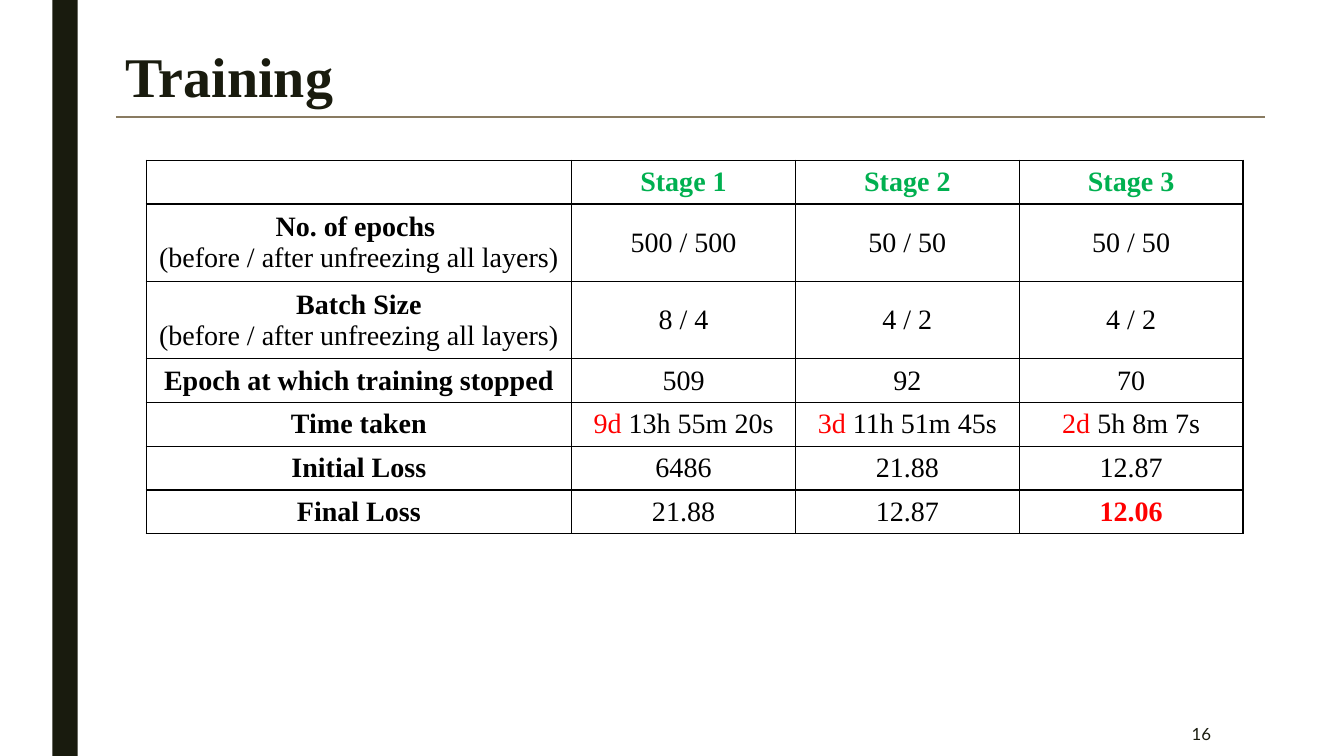
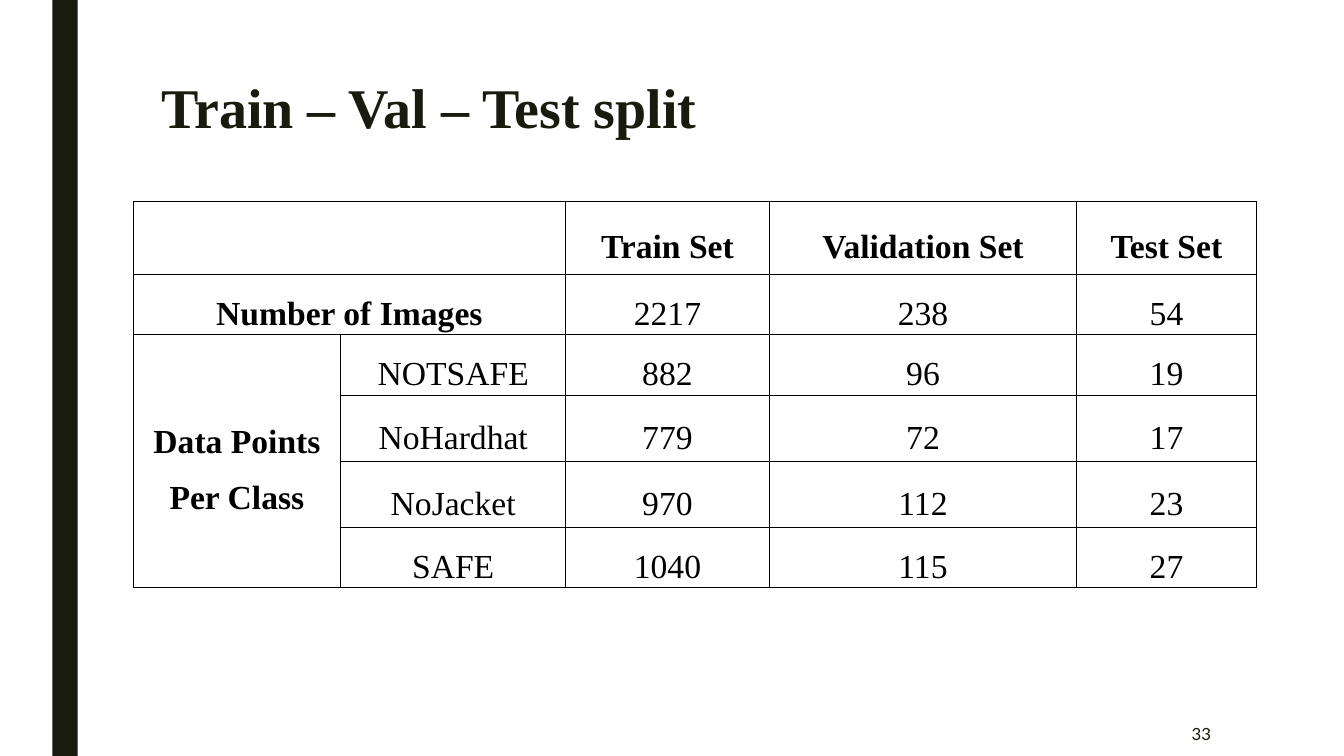
from collections import namedtuple
from dataclasses import dataclass

from lxml import etree
from pptx import Presentation
from pptx.dml.color import RGBColor
from pptx.enum.shapes import MSO_CONNECTOR, MSO_SHAPE
from pptx.enum.text import MSO_ANCHOR, PP_ALIGN
from pptx.oxml.ns import qn
from pptx.util import Inches, Pt

RECT = MSO_SHAPE.RECTANGLE
STRAIGHT = MSO_CONNECTOR.STRAIGHT
TOP, MIDDLE = MSO_ANCHOR.TOP, MSO_ANCHOR.MIDDLE
LEFT, CENTER, RIGHT = PP_ALIGN.LEFT, PP_ALIGN.CENTER, PP_ALIGN.RIGHT


@dataclass(frozen=True)
class Theme:
    dark: str = "191B0E"
    rule: str = "897B61"
    ink: str = "000000"
    green: str = "00B050"
    red: str = "FF0000"
    serif: str = "Times New Roman"
    sans: str = "Lato"
    title: int = 40
    page: int = 12
    small: int = 20
    large: int = 24
    line: int = 1


THEME = Theme()
Part = namedtuple("Part", "text bold color", defaults=(False, THEME.ink))
Grid = namedtuple("Grid", "cols rows size pad spacing")


def bold(text, color=THEME.ink):
    return Part(text, True, color)


def red(text):
    return Part(text, False, THEME.red)


def style(run, font, size, part):
    run.font.name = font
    run.font.size = Pt(size)
    run.font.bold = part.bold
    run.font.color.rgb = RGBColor.from_string(part.color)


def add_text(slide, box, part, font, size, align, anchor, spacing=None):
    frame = slide.shapes.add_textbox(*map(Inches, box)).text_frame
    frame.word_wrap = True
    frame.vertical_anchor = anchor
    frame.text = part.text
    para = frame.paragraphs[0]
    para.alignment = align
    para.line_spacing = spacing
    style(para.runs[0], font, size, part)


def add_frame(slide, title, left, top, page):
    """Place the side band, the title and the page number."""
    band = slide.shapes.add_shape(
        RECT, Inches(0.52), 0, Inches(0.25), Inches(7.5))
    band.shadow.inherit = False
    band.fill.solid()
    band.fill.fore_color.rgb = RGBColor.from_string(THEME.dark)
    band.line.fill.background()
    add_text(slide, (left, top, 10.5, 1.62), bold(title, THEME.dark),
             THEME.serif, THEME.title, LEFT, TOP, 0.89)
    add_text(slide, (10.36, 7.06, 1.75, 0.44), Part(page, False, THEME.dark),
             THEME.sans, THEME.page, RIGHT, MIDDLE)


def add_rule(slide, left, top, width):
    rule = slide.shapes.add_connector(
        STRAIGHT, Inches(left), Inches(top), Inches(left + width), Inches(top))
    rule.line.color.rgb = RGBColor.from_string(THEME.rule)
    rule.line.width = Pt(THEME.line)
    etree.SubElement(rule._element.spPr, qn("a:effectLst"))


def add_border(cell):
    props = cell._tc.get_or_add_tcPr()
    for side in ("lnL", "lnR", "lnT", "lnB"):
        line = etree.SubElement(props, qn("a:" + side), w=str(Pt(THEME.line)))
        fill = etree.SubElement(line, qn("a:solidFill"))
        etree.SubElement(fill, qn("a:srgbClr"), val=THEME.ink)


def fill_cell(cell, lines, grid):
    """Write lines, each a list of parts, into a bordered cell."""
    add_border(cell)
    cell.fill.background()
    cell.vertical_anchor = MIDDLE
    side, edge = grid.pad
    cell.margin_left = cell.margin_right = Inches(side)
    cell.margin_top = cell.margin_bottom = Inches(edge)
    frame = cell.text_frame
    for i, parts in enumerate(lines):
        para = frame.add_paragraph() if i else frame.paragraphs[0]
        para.alignment = CENTER
        para.line_spacing = grid.spacing
        for part in parts:
            run = para.add_run()
            run.text = part.text
            style(run, THEME.serif, grid.size, part)


def add_grid(slide, left, top, grid, data, spans=()):
    """Draw a table; spans lists pairs of (row, column) corners to merge."""
    table = slide.shapes.add_table(
        len(grid.rows), len(grid.cols), Inches(left), Inches(top),
        Inches(sum(grid.cols)), Inches(sum(grid.rows))).table
    table.first_row = table.horz_banding = False
    for col, width in zip(table.columns, grid.cols):
        col.width = Inches(width)
    for row, height in zip(table.rows, grid.rows):
        row.height = Inches(height)
    for r, row in enumerate(data):
        for c, lines in enumerate(row):
            fill_cell(table.cell(r, c), lines, grid)
    for start, end in spans:
        table.cell(*start).merge(table.cell(*end))


def plain(*texts):
    return [[[Part(text)]] for text in texts]


def strong(*texts, color=THEME.ink):
    return [[[bold(text, color)]] for text in texts]


def training(slide):
    add_frame(slide, "Training", 1.15, 0.44, "16")
    add_rule(slide, 1.15, 1.16, 11.4)
    note = [Part("(before / after unfreezing all layers)")]
    times = [("9d ", "13h 55m 20s"), ("3d", " 11h 51m 45s"),
             ("2d ", "5h 8m 7s")]
    data = [
        [[]] + strong("Stage 1", "Stage 2", "Stage 3", color=THEME.green),
        [[[bold("No. of epochs ")], note]]
        + plain("500 / 500", "50 / 50", "50 / 50"),
        [[[bold("Batch Size")], note]] + plain("8 / 4", "4 / 2", "4 / 2"),
        strong("Epoch at which training stopped") + plain("509", "92", "70"),
        strong("Time taken")
        + [[[red(days), Part(rest)]] for days, rest in times],
        strong("Initial Loss") + plain("6486", "21.88", "12.87"),
        strong("Final Loss") + plain("21.88", "12.87")
        + strong("12.06", color=THEME.red),
    ]
    rows = [0.41] + [0.71] * 2 + [0.41] * 4
    grid = Grid([4.22] + [2.22] * 3, rows, THEME.small, (0.1, 0.05), None)
    add_grid(slide, 1.45, 1.59, grid, data)


def split(slide):
    add_frame(slide, "Train – Val – Test split", 1.5, 0.75, "33")
    counts = [("NOTSAFE", "882", "96", "19"),
              ("NoHardhat", "779", "72", "17"),
              ("NoJacket", "970", "112", "23"),
              ("SAFE", "1040", "115", "27")]
    data = [
        [[], []] + strong("Train Set", "Validation Set", "Test Set"),
        strong("Number of Images") + [[]] + plain("2217", "238", "54"),
    ] + [[[]] + plain(*row) for row in counts]
    data[2][0] = [[bold("Data Points Per Class")]]
    grid = Grid([2.06, 2.23, 2.02, 3.05, 1.78],
                [0.72, 0.6, 0.6, 0.66, 0.65, 0.6],
                THEME.large, (0.07, 0), 1.5)
    spans = [((0, 0), (0, 1)), ((1, 0), (1, 1)), ((2, 0), (5, 0))]
    add_grid(slide, 1.32, 2, grid, data, spans)


def main():
    deck = Presentation()
    deck.slide_width, deck.slide_height = Inches(13.33), Inches(7.5)
    blank = deck.slide_layouts[6]
    for build in (training, split):
        build(deck.slides.add_slide(blank))
    deck.save("out.pptx")


if __name__ == "__main__":
    main()
